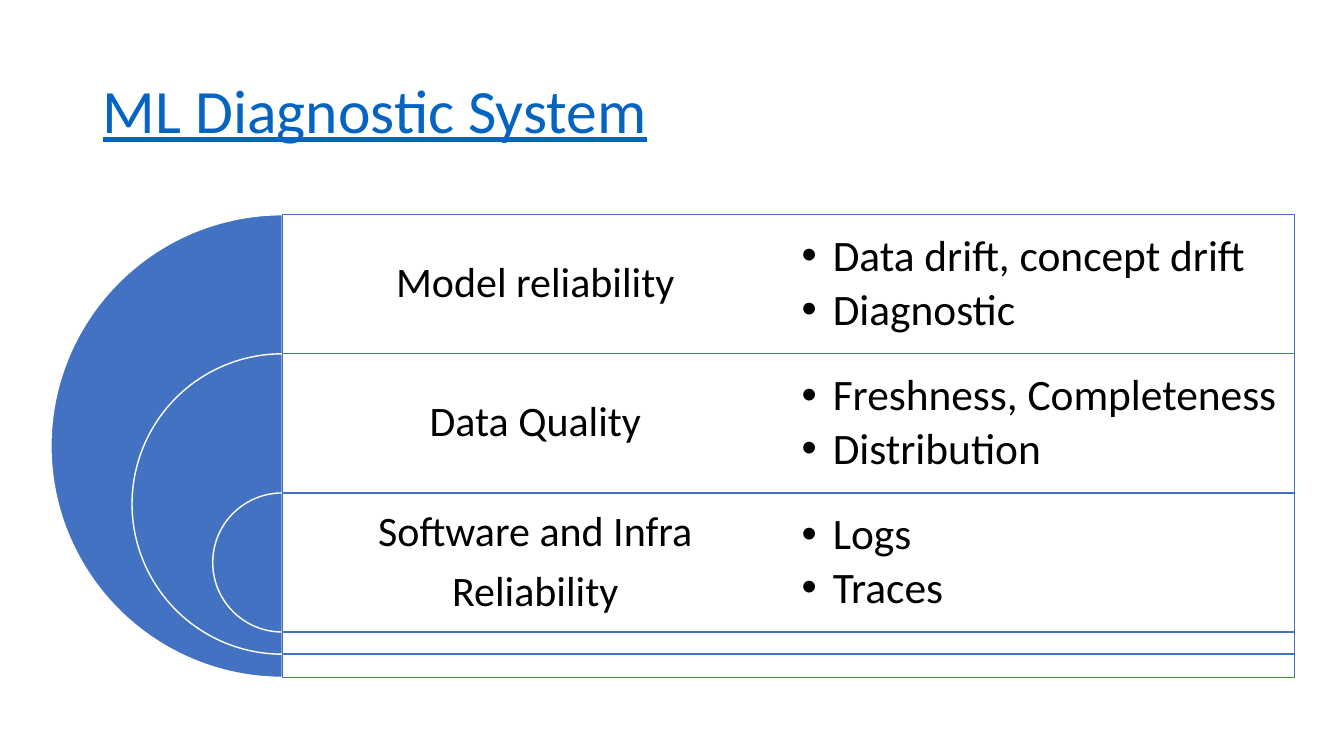
"""Build the ML diagnostic system slide with nested half discs."""
from lxml.etree import SubElement as Sub
from pptx import Presentation
from pptx.dml.color import RGBColor as Rgb
from pptx.enum.shapes import MSO_SHAPE as Kind
from pptx.enum.text import MSO_ANCHOR as Anchor, MSO_AUTO_SIZE as Fit, PP_ALIGN as Align
from pptx.oxml.ns import qn
from pptx.util import Pt

TITLE = "ML Diagnostic System"
ROWS = [
    (["Model reliability"], ["Data drift, concept drift", "Diagnostic"]),
    (["Data Quality"], ["Freshness, Completeness", "Distribution"]),
    (["Software and Infra", "Reliability"], ["Logs", "Traces"]),
]
SIZES = [459, 298, 138]

HUE = {"blue": "4372C3", "white": "FFFFFF", "black": "000000", "link": "0563C1"}
HEAD = {"size": 44, "hue": "link", "underline": True, "align": Align.LEFT}
LABEL = {"size": 30, "hue": "black", "align": Align.CENTER, "gap": 10.5, "pad": 12}
LIST = {"size": 31, "hue": "black", "align": Align.LEFT, "gap": 4.7, "pad": 13, "indent": 31}

UNIT = 9144
WIDE, HIGH = 1333, 750
LEFT, TOP, STEP = 280, 213, 138
PANEL, HALF = 1004, 502


def px(*nums):
    return [round(n * UNIT) for n in nums]


def color(name):
    return Rgb.from_string(HUE[name])


def bullet(para, indent):
    props = para._p.get_or_add_pPr()
    props.set("marL", str(indent * UNIT))
    props.set("indent", str(-indent * UNIT))
    tint = Sub(Sub(props, qn("a:buClr")), qn("a:srgbClr"))
    tint.set("val", HUE["black"])
    Sub(props, qn("a:buFont")).set("typeface", "Arial")
    Sub(props, qn("a:buChar")).set("char", "•")


def write(frame, lines, look):
    frame.word_wrap = True
    frame.auto_size = Fit.NONE
    frame.vertical_anchor = Anchor.MIDDLE
    if "pad" in look:
        for side in ("left", "top", "right", "bottom"):
            setattr(frame, f"margin_{side}", look["pad"] * UNIT)
    for i, line in enumerate(lines):
        para = frame.add_paragraph() if i else frame.paragraphs[0]
        para.alignment = look["align"]
        para.line_spacing = 0.9
        if i:
            para.space_before = Pt(look["gap"])
        if "indent" in look:
            bullet(para, look["indent"])
        run = para.add_run()
        run.text = line
        form = {"name": "Calibri", "size": Pt(look["size"]), "underline": look.get("underline")}
        for key, val in form.items():
            setattr(run.font, key, val)
        run.font.color.rgb = color(look["hue"])


def draw(slide, kind, box, fill, edge):
    shape = slide.shapes.add_shape(kind, *px(*box))
    shape.shadow.inherit = False
    shape.fill.solid()
    shape.fill.fore_color.rgb = color(fill)
    shape.line.color.rgb = color(edge)
    shape.line.width = Pt(1)
    return shape


def build():
    deck = Presentation()
    deck.slide_width, deck.slide_height = px(WIDE, HIGH)
    slide = deck.slides.add_slide(deck.slide_layouts[5])
    title = slide.shapes.title
    spots = zip(("left", "top", "width", "height"), px(92, 40, 1150, 145))
    for key, val in spots:
        setattr(title, key, val)
    write(title.text_frame, [TITLE], HEAD)

    for i, ((label, points), size) in enumerate(zip(ROWS, SIZES)):
        top = TOP + i * STEP
        disc = draw(slide, Kind.PIE, (LEFT - size / 2, top, size, size), "blue", "white")
        disc.adjustments[0], disc.adjustments[1] = 54, 162
        panel = draw(slide, Kind.RECTANGLE, (LEFT, top, PANEL, size), "white", "blue")
        tint = panel.fill._xPr.find(qn("a:solidFill"))[0]
        Sub(tint, qn("a:alpha")).set("val", "89000")
        for j, (lines, look) in enumerate(((label, LABEL), (points, LIST))):
            box = slide.shapes.add_textbox(*px(LEFT + j * HALF, top, HALF, STEP))
            write(box.text_frame, lines, look)
    deck.save("out.pptx")


if __name__ == "__main__":
    build()
